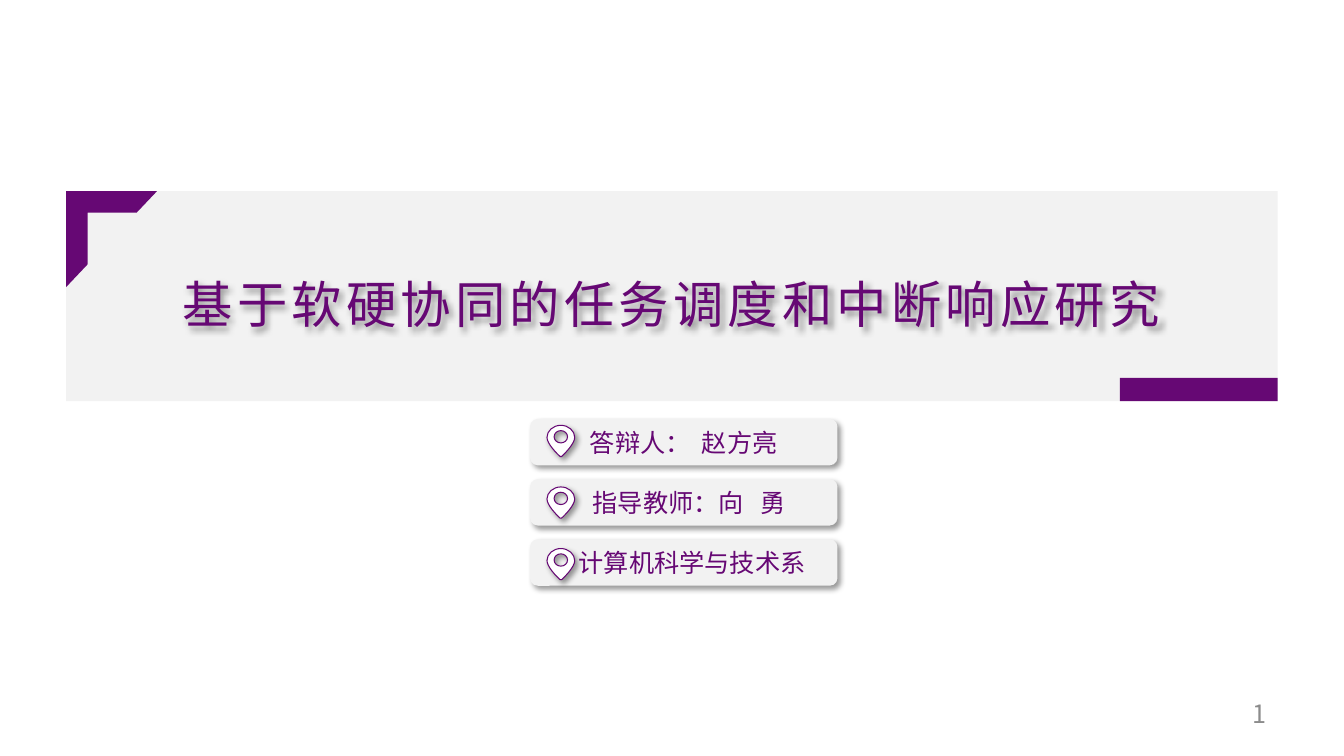
from lxml.etree import SubElement
from pptx import Presentation
from pptx.dml.color import RGBColor
from pptx.enum.shapes import MSO_SHAPE as Preset
from pptx.enum.text import MSO_ANCHOR as Anchor, MSO_AUTO_SIZE as AutoSize, PP_ALIGN as Align
from pptx.oxml.ns import qn
from pptx.util import Pt

FONT = "Noto Sans CJK SC"
PURPLE, PALE, GREY, WHITE = "660874", "F2F2F2", "8C8C8C", "FFFFFF"
color = RGBColor.from_string


def add_run(para, text, size, hex_color, spacing=0):
    span = para.add_run()
    span.text = text
    span.font.size = Pt(size)
    span.font.name = FONT
    span.font.color.rgb = color(hex_color)
    properties = span.font._element
    SubElement(properties, qn("a:ea")).set("typeface", FONT)
    if spacing:
        properties.set("spc", str(spacing * 100))


def add_shadow(shape):
    shape.shadow.inherit = False
    effects = shape._element.spPr.find(qn("a:effectLst"))
    outer = SubElement(effects, qn("a:outerShdw"), blurRad=str(Pt(4)), dist=str(Pt(3)),
                       dir="2700000", algn="tl", rotWithShape="0")
    black = SubElement(outer, qn("a:srgbClr"), val="000000")
    SubElement(black, qn("a:alpha"), val="40000")


deck = Presentation()
deck.slide_width, deck.slide_height = Pt(960), Pt(540)
page = deck.slides.add_slide(deck.slide_layouts[5])
shapes = page.shapes

# Title banner with its corner and bar
for preset, left, top, width, height, fill in [
    (Preset.RECTANGLE, 47.3, 136.6, 865.4, 150, PALE),
    (Preset.HALF_FRAME, 47.3, 136.6, 64.8, 68.4, PURPLE),
    (Preset.RECTANGLE, 800, 270, 112.7, 16.6, PURPLE),
]:
    part = shapes.add_shape(preset, Pt(left), Pt(top), Pt(width), Pt(height))
    part.shadow.inherit = False
    part.fill.solid()
    part.fill.fore_color.rgb = color(fill)
    part.line.fill.background()
    if preset == Preset.HALF_FRAME:
        part.adjustments[0] = part.adjustments[1] = 0.235

# Title, brought in front of the banner
title = shapes.title
title.left, title.top, title.width, title.height = Pt(94), Pt(158.4), Pt(771.8), Pt(116)
title.element.getparent().append(title.element)
add_shadow(title)
frame = title.text_frame
frame.auto_size = AutoSize.NONE
frame.vertical_anchor = Anchor.MIDDLE
para = frame.paragraphs[0]
para.alignment = Align.CENTER
add_run(para, "基于软硬协同的任务调度和中断响应研究", 36, PURPLE, 3)

# Slide number
box = shapes.add_textbox(Pt(699), Pt(497.2), Pt(212.5), Pt(25.2))
frame = box.text_frame
frame.word_wrap = True
frame.vertical_anchor = Anchor.MIDDLE
para = frame.paragraphs[0]
para.alignment = Align.RIGHT
add_run(para, "1", 18, GREY)

# Pin rings: a start point, then two control points and an end point per curve
outline = [
    (9.9, 0),
    (4.4, 0), (0, 4), (0, 8.6),
    (0, 13), (6.8, 20), (9.4, 22.3),
    (9.7, 22.6), (10.1, 22.6), (10.4, 22.3),
    (13, 20), (19.8, 13), (19.8, 8.6),
    (19.8, 4), (15.4, 0), (9.9, 0),
]
hole = [
    (9.9, 12.6),
    (7.2, 12.6), (5.1, 10.6), (5.1, 8.2),
    (5.1, 5.8), (7.2, 3.8), (9.9, 3.8),
    (12.6, 3.8), (14.7, 5.8), (14.7, 8.2),
    (14.7, 10.6), (12.6, 12.6), (9.9, 12.6),
]

# Label plates, each with a pin: left inset, then text pieces with their letter spacing
labels = [
    (0, [("答辩人：", 0), (" ", 4), ("赵方亮", 0)]),
    (8, [("指导教师：向", 0), (" ", 8), ("勇", 0)]),
    (12, [("计算机科学与技术系", 0)]),
]
for row, (inset, pieces) in enumerate(labels):
    plate = shapes.add_shape(Preset.ROUNDED_RECTANGLE, Pt(378.6), Pt(299.2 + 43 * row),
                             Pt(219.6), Pt(33.2))
    plate.fill.solid()
    plate.fill.fore_color.rgb = color(PALE)
    plate.line.fill.background()
    add_shadow(plate)
    frame = plate.text_frame
    frame.margin_left, frame.margin_right = Pt(inset), Pt(0)
    frame.vertical_anchor = Anchor.MIDDLE
    para = frame.paragraphs[0]
    para.alignment = Align.CENTER
    for text, spacing in pieces:
        add_run(para, text, 18, PURPLE, spacing)

    rings = [[(Pt(390.7 + x), Pt(303.8 + 44 * row + y)) for x, y in ring]
             for ring in (outline, hole)]
    builder = shapes.build_freeform(*rings[0][0])
    builder.add_line_segments(rings[0][1:])
    builder.move_to(*rings[1][0])
    builder.add_line_segments(rings[1][1:])
    pin = builder.convert_to_shape()

    # Join every three segments into one curve
    segments = list(pin._element.iter(qn("a:lnTo")))
    for first, second, third in zip(segments[::3], segments[1::3], segments[2::3]):
        first.tag = qn("a:cubicBezTo")
        for segment in (second, third):
            first.append(segment[0])
            segment.getparent().remove(segment)

    pin.fill.solid()
    pin.fill.fore_color.rgb = color(WHITE)
    pin.line.color.rgb = color(PURPLE)
    pin.line.width = Pt(0.75)
    add_shadow(pin)

deck.save("out.pptx")
